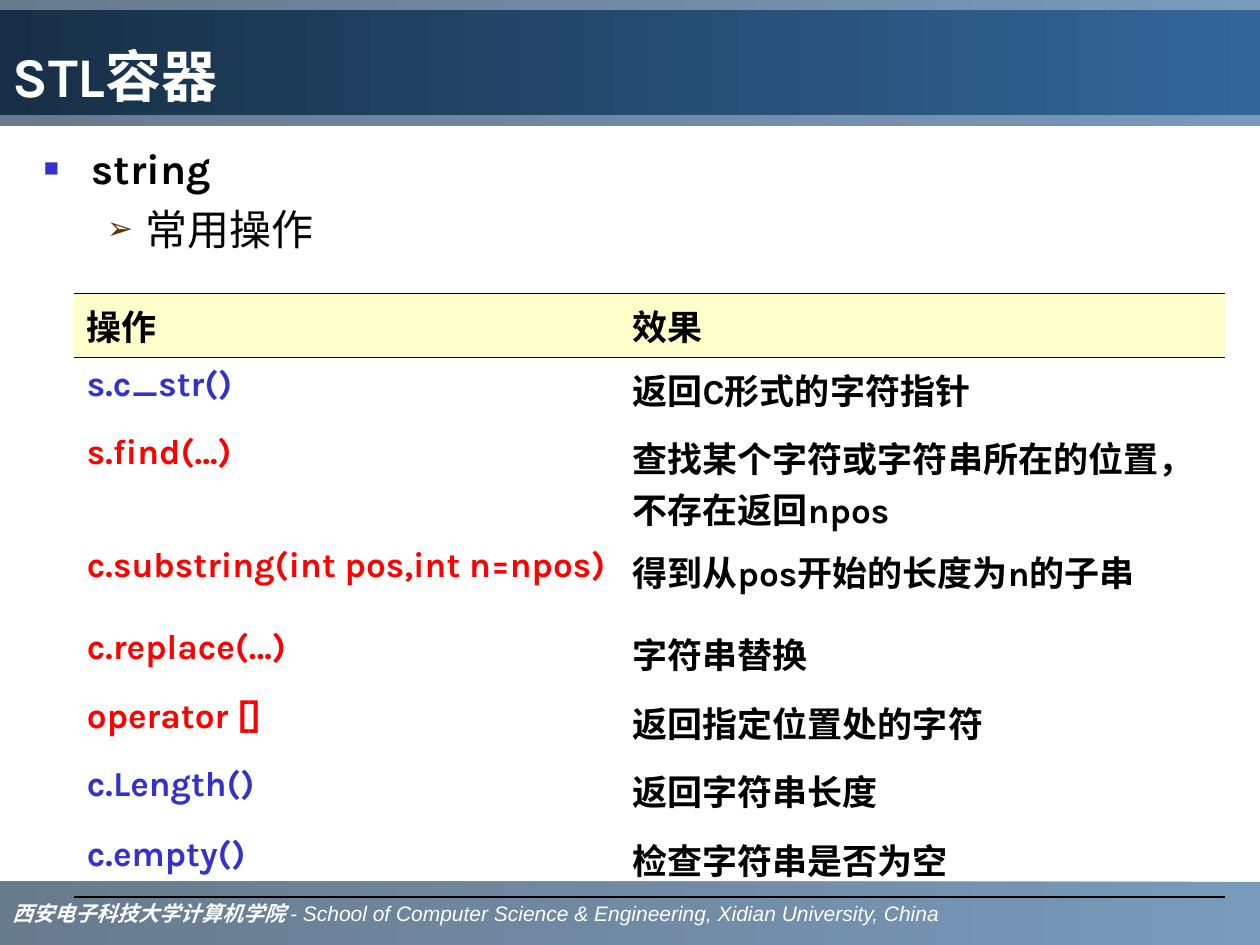
"""Build the slide on common string operations."""
from lxml import etree
from pptx import Presentation, util as u
from pptx.dml.color import RGBColor
from pptx.enum import shapes, text
from pptx.oxml.ns import qn

THEME = dict(
    font="Karla", white="FFFFFF", black="000000", blue="3333CC", red="FF0000",
    brown="663300", cream="FFFFCC", light="336699", dark="1B3753", deep="172F46",
    title=32, body=24, cell=20, foot=12,
)
TITLE = "STL容器"
FOOT = [
    ("西安电子科技大学计算机学院 ", "Times New Roman", True),
    ("- School of Computer Science & Engineering, Xidian University, China", "Arial", False),
]
POINTS = [
    ("string", True, 0.38, 0.38, "■", "blue", 60),
    ("常用操作", False, 0.81, 0.31, "➢", "brown", 75),
]
ROWS = [
    ("操作", "效果", "black", 0.51),
    ("s.c_str()", "返回C形式的字符指针", "blue", 0.54),
    ("s.find(…)", "查找某个字符或字符串所在的位置，不存在返回npos", "red", 0.9),
    ("c.substring(int pos,int n=npos)", "得到从pos开始的长度为n的子串", "red", 0.65),
    ("c.replace(…)", "字符串替换", "red", 0.55),
    ("operator []", "返回指定位置处的字符", "red", 0.54),
    ("c.Length()", "返回字符串长度", "blue", 0.55),
    ("c.empty()", "检查字符串是否为空", "blue", 0.55),
]
COLS = (4.33, 4.8)
LINES = {0: {"T": 1.08, "B": 0.75}, len(ROWS) - 1: {"B": 1.08}}
PLAIN = "{2D5ABB26-0587-4C30-8999-92F81FD0307C}"


def tint(name):
    return RGBColor.from_string(THEME[name])


def node(root, tag, **atts):
    return etree.SubElement(root, qn("a:" + tag), {k: str(v) for k, v in atts.items()})


def style(font, size, color, bold, name=THEME["font"]):
    font.name, font.size, font.bold = name, u.Pt(THEME[size]), bold
    font.color.rgb = tint(color)


def band(slide, top, high, dark, alpha=None):
    box = slide.shapes.add_shape(
        shapes.MSO_SHAPE.RECTANGLE, 0, u.Inches(top), u.Inches(10), u.Inches(high))
    box.shadow.inherit = False
    box.line.fill.background()
    box.fill.gradient()
    box.fill.gradient_angle = 180
    for stop, name in zip(box.fill.gradient_stops, ("light", dark)):
        stop.color.rgb = tint(name)
    if alpha:
        for clr in box._element.spPr.iter(qn("a:srgbClr")):
            node(clr, "alpha", val=alpha * 1000)
    para = box.text_frame.paragraphs[0]
    para.alignment = text.PP_ALIGN.LEFT
    return box.text_frame, para


def bullet(para, left, hang, mark, color, size):
    props = para._p.get_or_add_pPr()
    props.set("marL", str(u.Inches(left)))
    props.set("indent", str(-u.Inches(hang)))
    node(node(props, "buClr"), "srgbClr", val=THEME[color])
    node(props, "buSzPct", val=size * 1000)
    node(props, "buFont", typeface="Arial")
    node(props, "buChar", char=mark)


def border(cell, side, width):
    line = node(cell._tc.get_or_add_tcPr(), "ln" + side, w=u.Pt(width))
    node(node(line, "solidFill"), "srgbClr", val=THEME["black"])


def points(slide):
    frame = slide.shapes.add_textbox(*map(u.Inches, (0.25, 1.08, 4.63, 5.83))).text_frame
    frame.word_wrap = True
    for i, (words, bold, *mark) in enumerate(POINTS):
        para = frame.add_paragraph() if i else frame.paragraphs[0]
        para.text, para.level = words, i
        if i:
            para.space_before = u.Pt(6)
        bullet(para, *mark)
        style(para.font, "body", "black", bold)


def table(slide):
    high = sum(row[-1] for row in ROWS)
    grid = slide.shapes.add_table(
        len(ROWS), len(COLS), *map(u.Inches, (0.59, 2.33, sum(COLS), high))).table
    grid._tbl.tblPr.find(qn("a:tableStyleId")).text = PLAIN
    grid.horz_banding = False
    for col, wide in zip(grid.columns, COLS):
        col.width = u.Inches(wide)
    for r, (left, right, color, tall) in enumerate(ROWS):
        grid.rows[r].height = u.Inches(tall)
        for c, (words, hue) in enumerate(((left, color), (right, "black"))):
            cell = grid.cell(r, c)
            for side, width in LINES.get(r, {}).items():
                border(cell, side, width)
            if r:
                cell.fill.background()
            else:
                cell.fill.solid()
                cell.fill.fore_color.rgb = tint("cream")
            para = cell.text_frame.paragraphs[0]
            para.text = words
            style(para.font, "cell", hue, True)


def main():
    deck = Presentation()
    deck.slide_width, deck.slide_height = u.Inches(10), u.Inches(7.5)
    slide = deck.slides.add_slide(deck.slide_layouts[6])
    frame, para = band(slide, 7, 0.5, "dark", 66)
    frame.word_wrap = False
    for words, name, bold in FOOT:
        run = para.add_run()
        run.text = words
        style(run.font, "foot", "white", bold, name)
        run.font.italic = True
    band(slide, 0, 1, "dark", 66)
    frame, para = band(slide, 0.08, 0.83, "deep")
    frame.vertical_anchor = text.MSO_ANCHOR.BOTTOM
    para.text = TITLE
    style(para.font, "title", "white", True)
    points(slide)
    table(slide)
    deck.save("out.pptx")


if __name__ == "__main__":
    main()
